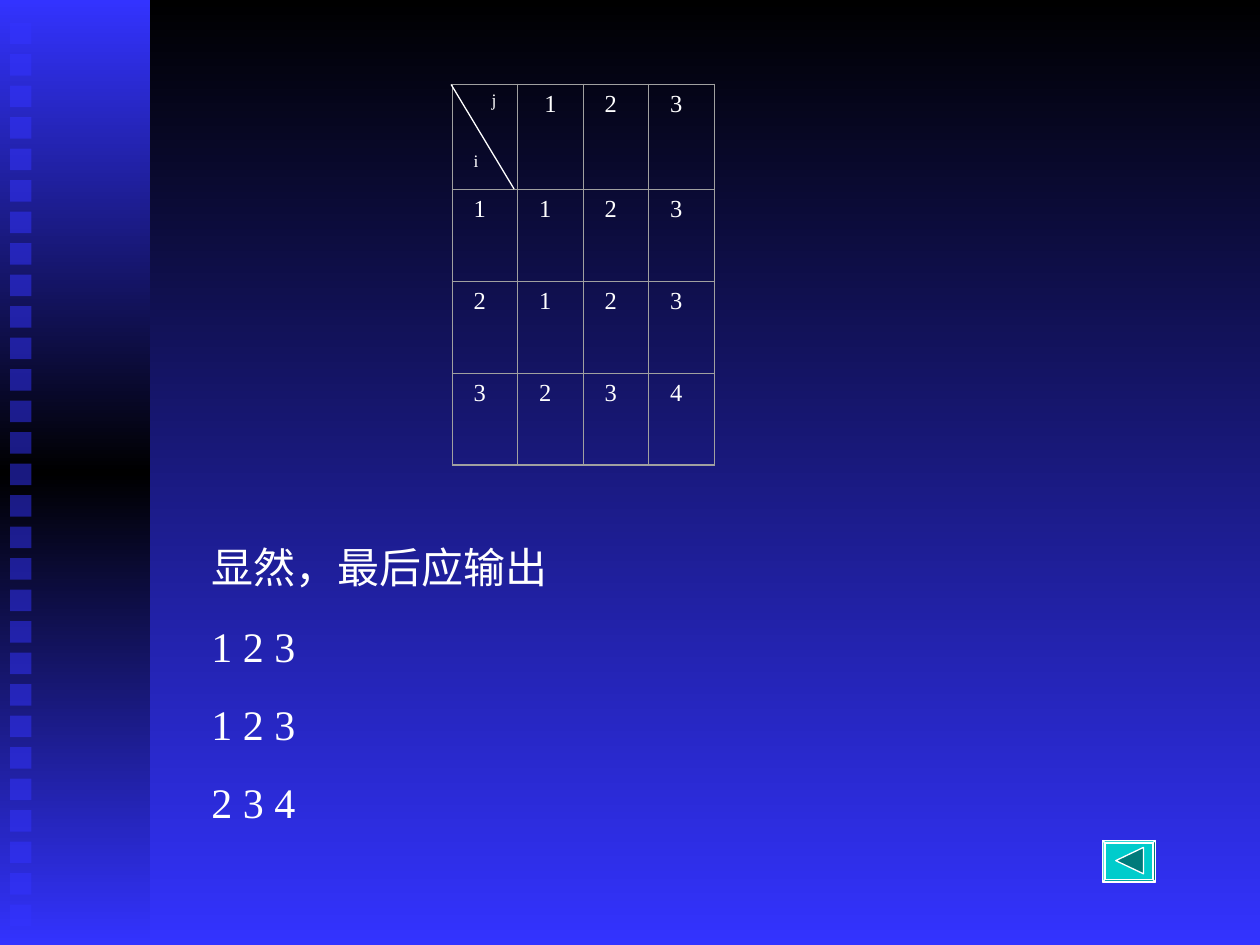
from dataclasses import dataclass

from lxml import etree
from pptx import Presentation, util as u
from pptx.dml.color import RGBColor
from pptx.enum import shapes, text
from pptx.oxml.ns import qn

GRID = [["", "1", "2", "3"],
        ["1", "1", "2", "3"],
        ["2", "1", "2", "3"],
        ["3", "2", "3", "4"]]
CORNER = [("j", text.PP_ALIGN.RIGHT), ("i", text.PP_ALIGN.LEFT)]
OUTPUT = ["显然，最后应输出", "1 2 3", "1 2 3", "2 3 4"]

GRID_LEFT, GRID_TOP, COLUMN = 3.59, 0.67, 0.52
ROWS = [0.83, 0.73, 0.73, 0.73]
SQUARES, SQUARE_TOP, SQUARE_STEP, SQUARE_SIZE = 29, 0.18, 0.25, 0.17


@dataclass(frozen=True)
class Theme:
    font: str = "Times New Roman"
    text: str = "FFFFFF"
    blue: str = "3333FF"
    black: str = "000000"
    border: str = "A0A0A0"
    button: str = "00CCCC"
    arrow: str = "007A7A"
    corner_size: float = 10
    grid_size: float = 14
    body_size: float = 24


THEME = Theme()


def rgb(value):
    return RGBColor.from_string(value)


def inches(*values):
    return [u.Inches(value) for value in values]


def paint_gradient(fill, element, colours):
    """Fill from top to bottom with evenly spaced colours."""
    fill.gradient()
    fill.gradient_angle = 270
    stops = element.find(".//" + qn("a:gsLst"))
    for stop in list(stops):
        stops.remove(stop)
    for index, colour in enumerate(colours):
        position = 100000 * index // (len(colours) - 1)
        stop = etree.SubElement(stops, qn("a:gs"), pos=str(position))
        etree.SubElement(stop, qn("a:srgbClr"), val=colour)


def add_shape(page, kind, box, fill=None, line=None):
    shape = page.shapes.add_shape(kind, *inches(*box))
    shape.shadow.inherit = False
    if fill:
        shape.fill.solid()
        shape.fill.fore_color.rgb = rgb(fill)
    if line:
        shape.line.color.rgb = rgb(line)
        shape.line.width = u.Pt(0.75)
    else:
        shape.line.fill.background()
    return shape


def style(para, size, align):
    para.alignment = align
    for span in para.runs:
        span.font.name = THEME.font
        span.font.size = u.Pt(size)
        span.font.color.rgb = rgb(THEME.text)


def add_sidebar(page):
    rectangle = shapes.MSO_SHAPE.RECTANGLE
    bar = add_shape(page, rectangle, (0, 0, 1.19, 7.5))
    paint_gradient(bar.fill, bar._element, [THEME.blue, THEME.black, THEME.blue])
    for index in range(SQUARES):
        top = SQUARE_TOP + index * SQUARE_STEP
        square = add_shape(page, rectangle, (0.08, top, SQUARE_SIZE, SQUARE_SIZE), THEME.blue)
        colour = square._element.spPr.find(qn("a:solidFill"))[0]
        etree.SubElement(colour, qn("a:alpha"), val="50000")


def set_borders(cell, row, column):
    """Draw the outer edges of the grid heavier than the inner ones."""
    last = len(GRID) - 1
    outer = {"lnL": column == 0, "lnR": column == last, "lnT": row == 0, "lnB": row == last}
    properties = cell._tc.get_or_add_tcPr()
    for index, (edge, heavy) in enumerate(outer.items()):
        line = etree.Element(qn("a:" + edge), w=str(u.Pt(1 if heavy else 0.5)))
        fill = etree.SubElement(line, qn("a:solidFill"))
        etree.SubElement(fill, qn("a:srgbClr"), val=THEME.border)
        properties.insert(index, line)


def add_grid(page):
    size = (COLUMN * len(GRID[0]), sum(ROWS))
    table = page.shapes.add_table(len(GRID), len(GRID[0]),
                                  *inches(GRID_LEFT, GRID_TOP, *size)).table
    table.first_row = table.horz_banding = False
    for column in table.columns:
        column.width = u.Inches(COLUMN)
    for row, height in zip(table.rows, ROWS):
        row.height = u.Inches(height)
    for row, values in enumerate(GRID):
        for column, value in enumerate(values):
            cell = table.cell(row, column)
            cell.fill.background()
            cell.margin_left = cell.margin_right = u.Inches(0.17)
            cell.margin_top = cell.margin_bottom = u.Inches(0.05)
            set_borders(cell, row, column)
            if value:
                cell.text_frame.text = value
                centred = (row, column) == (0, 1)
                style(cell.text_frame.paragraphs[0], THEME.grid_size,
                      text.PP_ALIGN.CENTER if centred else text.PP_ALIGN.LEFT)

    frame = table.cell(0, 0).text_frame
    frame.text = "\n".join(label for label, _ in CORNER)
    for para, (_, align) in zip(frame.paragraphs, CORNER):
        style(para, THEME.corner_size, align)
    frame.paragraphs[1].space_before = u.Pt(24)

    diagonal = page.shapes.add_connector(shapes.MSO_CONNECTOR.STRAIGHT,
                                         *inches(3.58, GRID_TOP, 4.08, 1.5))
    diagonal.line.color.rgb = rgb(THEME.text)
    diagonal.line.width = u.Pt(0.75)
    etree.SubElement(diagonal._element.spPr, qn("a:effectLst"))


def add_output(page):
    frame = page.shapes.add_textbox(*inches(1.58, 4.25, 6.5, 2.94)).text_frame
    frame.word_wrap = True
    frame.text = "\n".join(OUTPUT)
    for index, para in enumerate(frame.paragraphs):
        style(para, THEME.body_size, text.PP_ALIGN.JUSTIFY)
        if index:
            para.space_before = u.Pt(16)


def add_back_button(page):
    button = add_shape(page, shapes.MSO_SHAPE.BEVEL, (8.75, 6.67, 0.42, 0.33),
                       THEME.button, THEME.text)
    button.adjustments[0] = 0.06
    arrow = add_shape(page, shapes.MSO_SHAPE.ISOSCELES_TRIANGLE, (8.86, 6.72, 0.21, 0.22),
                      THEME.arrow, THEME.text)
    arrow.rotation = 270


def main():
    deck = Presentation()
    deck.slide_width, deck.slide_height = inches(10, 7.5)
    page = deck.slides.add_slide(deck.slide_layouts[6])
    paint_gradient(page.background.fill, page.element, [THEME.black, THEME.blue])
    add_sidebar(page)
    add_grid(page)
    add_output(page)
    add_back_button(page)
    deck.save("out.pptx")


if __name__ == "__main__":
    main()
